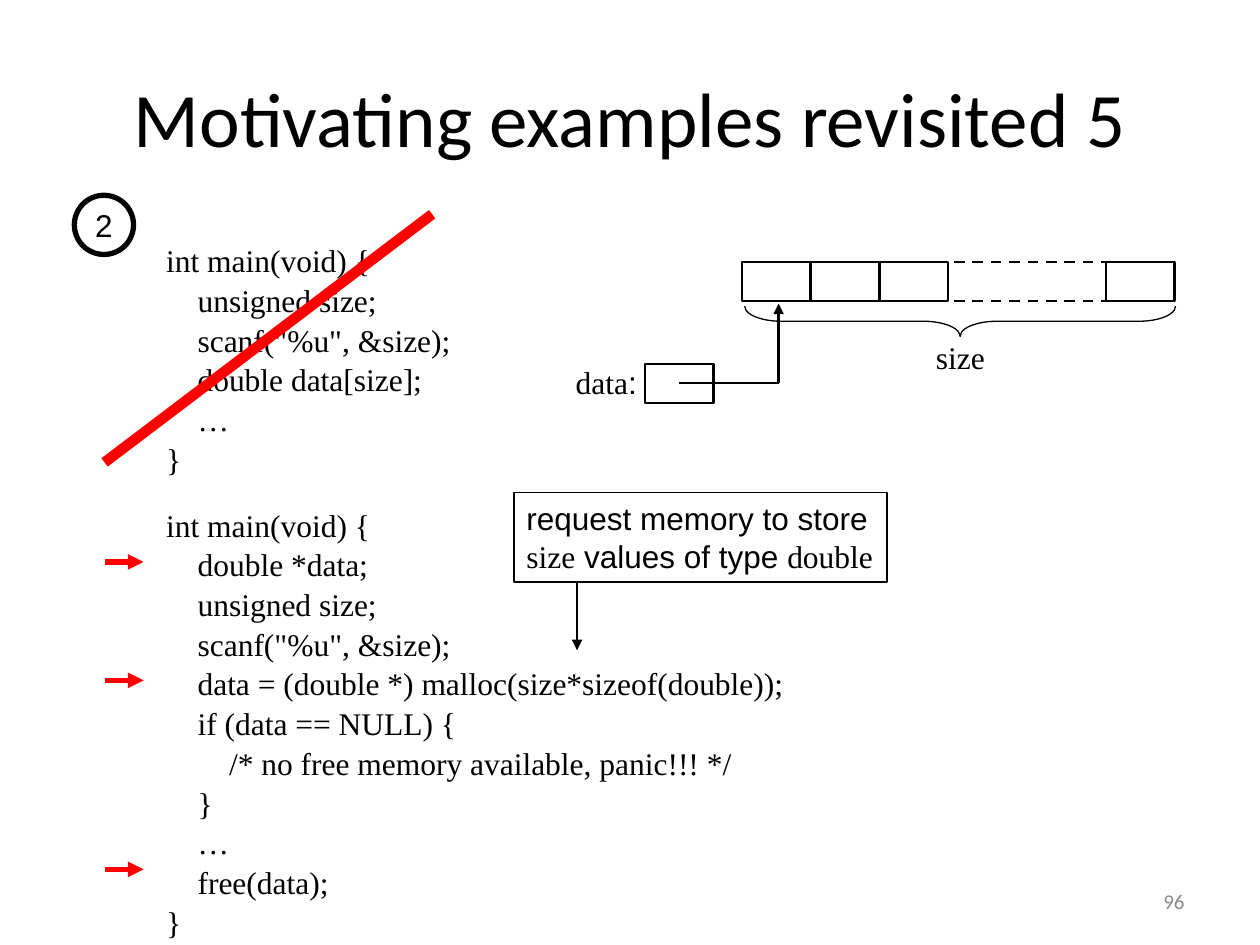
from dataclasses import dataclass
from typing import NamedTuple

from lxml import etree
from pptx import Presentation
from pptx import util as u
from pptx.dml.color import RGBColor
from pptx.enum import dml, shapes, text
from pptx.oxml.ns import qn


@dataclass(frozen=True)
class Theme:
    ink: str = "000000"
    red: str = "FF0000"
    paper: str = "FFFFFF"
    gray: str = "8C8C8C"
    head: str = "Calibri"
    sans: str = "Arial"
    code: str = "Times New Roman"
    title: int = 44
    body: int = 18
    note: int = 12
    lead: float = 1.05


class Box(NamedTuple):
    col: float
    row: float
    wide: float
    high: float


class Line(NamedTuple):
    start: tuple
    end: tuple
    color: str
    width: float
    tip: str = ""
    dash: bool = False


T = Theme()
COLS, ROWS = 100, 75
WIDE, HIGH = u.Inches(10), u.Inches(7.5)
CELL = (5.45, 3.1)
TOP = 20.8

OLD = (
    "int main(void) {",
    "    unsigned size;",
    "    scanf(\"%u\", &size);",
    "    double data[size];",
    "    …",
    "}",
)
NEW = (
    "int main(void) {",
    "    double *data;",
    "    unsigned size;",
    "    scanf(\"%u\", &size);",
    "    data = (double *) malloc(size*sizeof(double));",
    "    if (data == NULL) {",
    "        /* no free memory available, panic!!! */",
    "    }",
    "    …",
    "    free(data);",
    "}",
)


def place(col: float, row: float) -> tuple:
    return round(WIDE * col / COLS), round(HIGH * row / ROWS)


def rgb(color: str) -> RGBColor:
    return RGBColor.from_string(color)


def write(shape, lines, font=T.code, size=T.body, color=T.ink,
          align=text.PP_ALIGN.LEFT, lead=None, wrap=False) -> None:
    frame = shape.text_frame
    frame.word_wrap = wrap
    for i, line in enumerate(lines):
        para = frame.paragraphs[0] if i == 0 else frame.add_paragraph()
        para.alignment = align
        para.line_spacing = lead
        para.font.name = font
        para.font.size = u.Pt(size)
        para.font.color.rgb = rgb(color)
        for span in [(line, font)] if isinstance(line, str) else line:
            run = para.add_run()
            run.text, face = span
            if face != font:
                run.font.name = face


def label(slide, box: Box, lines, **look):
    shape = slide.shapes.add_textbox(*place(*box[:2]), *place(*box[2:]))
    write(shape, lines, **look)
    return shape


def draw(slide, kind, box: Box, width: float, fill: str = ""):
    shape = slide.shapes.add_shape(kind, *place(*box[:2]), *place(*box[2:]))
    shape.shadow.inherit = False
    if fill:
        shape.fill.solid()
        shape.fill.fore_color.rgb = rgb(fill)
    else:
        shape.fill.background()
    shape.line.color.rgb = rgb(T.ink)
    shape.line.width = u.Pt(width)
    return shape


def link(slide, line: Line) -> None:
    wire = slide.shapes.add_connector(
        shapes.MSO_CONNECTOR.STRAIGHT, *place(*line.start), *place(*line.end))
    wire.line.color.rgb = rgb(line.color)
    wire.line.width = u.Pt(line.width)
    if line.dash:
        wire.line.dash_style = dml.MSO_LINE.DASH
    props = wire.element.spPr
    if line.tip:
        tip = etree.SubElement(props.find(qn("a:ln")), qn("a:" + line.tip))
        tip.set("type", "triangle")
    etree.SubElement(props, qn("a:effectLst"))


def cell(slide, col: float, row: float) -> None:
    draw(slide, shapes.MSO_SHAPE.RECTANGLE, Box(col, row, *CELL), 1.5, T.paper)


def head(slide) -> None:
    title = slide.shapes.title
    title.left, title.top = place(5, 3)
    title.width, title.height = place(90, 12.5)
    title.text_frame.vertical_anchor = text.MSO_ANCHOR.MIDDLE
    write(title, ["Motivating examples revisited 5"], T.head, T.title,
          align=text.PP_ALIGN.CENTER, wrap=True)


def listings(slide) -> None:
    label(slide, Box(12.2, 18.5, 24.6, 19), OLD, lead=T.lead)
    badge = draw(slide, shapes.MSO_SHAPE.OVAL, Box(5.9, 15.5, 4.7, 4.7), 3, T.paper)
    badge.text_frame.vertical_anchor = text.MSO_ANCHOR.MIDDLE
    write(badge, ["2"], T.sans, align=text.PP_ALIGN.CENTER)
    label(slide, Box(12.2, 39.5, 51.1, 34), NEW, lead=T.lead)
    link(slide, Line((8.3, 36.7), (34.3, 17), T.red, 6))
    for row in (44.6, 54, 69):
        link(slide, Line((8.3, row), (11.4, row), T.red, 3, "tailEnd"))


def callout(slide) -> None:
    note = draw(slide, shapes.MSO_SHAPE.RECTANGLE, Box(40.8, 39.1, 29.6, 7.1), 0.75)
    note.text_frame.vertical_anchor = text.MSO_ANCHOR.TOP
    write(note, [
        "request memory to store",
        [("size", T.code), (" values of type ", T.sans), ("double", T.code)],
    ], T.sans)
    link(slide, Line((45.8, 46.1), (45.8, 51.6), T.ink, 0.75, "tailEnd"))


def memory(slide) -> None:
    for step in (0, 1, 2, 5.3):
        cell(slide, 58.9 + step * CELL[0], TOP)
    for row in (TOP, TOP + CELL[1]):
        link(slide, Line((72.8, row), (90.2, row), T.ink, 1.5, dash=True))
    brace = draw(slide, shapes.MSO_SHAPE.RIGHT_BRACE, Box(75, 8.4, 2.4, 34.2), 0.75)
    brace.rotation = 90
    brace.adjustments[0] = 1.207
    label(slide, Box(73.3, 26.3, 5.9, 4), ["size"])
    label(slide, Box(44.7, 28.3, 6.9, 4), [[("data", T.code), (":", T.sans)]])
    cell(slide, 51.2, 28.9)
    link(slide, Line((61.8, 24.1), (61.8, 30.4), T.ink, 1.5, "headEnd"))
    link(slide, Line((61.8, 30.4), (53.9, 30.4), T.ink, 1.5))


def main() -> None:
    deck = Presentation()
    deck.slide_width, deck.slide_height = WIDE, HIGH
    slide = deck.slides.add_slide(deck.slide_layouts[5])
    head(slide)
    listings(slide)
    callout(slide)
    memory(slide)
    page = label(slide, Box(71.7, 69.5, 23.3, 4), ["96"], font=T.head, size=T.note,
                 color=T.gray, align=text.PP_ALIGN.RIGHT, wrap=True)
    page.text_frame.vertical_anchor = text.MSO_ANCHOR.MIDDLE
    deck.save("out.pptx")


if __name__ == "__main__":
    main()
